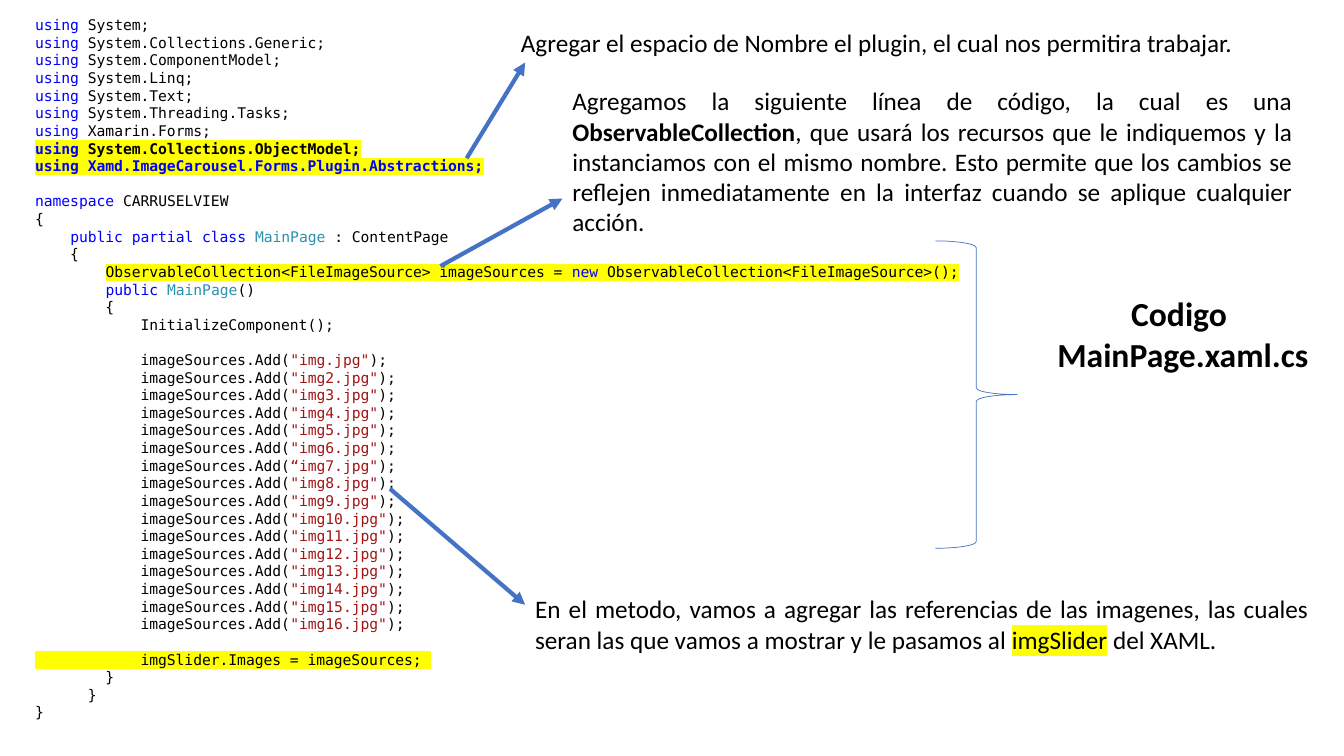
from lxml.etree import SubElement
from pptx import Presentation
from pptx.dml.color import RGBColor
from pptx.enum.shapes import MSO_CONNECTOR, MSO_SHAPE
from pptx.enum.text import MSO_AUTO_SIZE, PP_ALIGN
from pptx.oxml.ns import qn
from pptx.util import Inches, Pt

# Grid of 40 columns by 22.5 rows
CELL = Inches(13.333) / 40
BLACK, BLUE, TEAL, RED = "000000", "0000FF", "2B91AF", "A31515"
ACCENT, YELLOW = "4472C4", "FFFF00"
BODY_FONT, CODE_FONT = "Calibri", "DejaVu Sans Mono"


def color(value):
    return RGBColor.from_string(value)


def cells(*lengths):
    return [round(length * CELL) for length in lengths]


def span(text, ink=BLACK, bold=False, mark=False):
    return text, ink, bold, mark


def add_paragraph(paragraph, spans, font, size, align):
    paragraph.alignment = align
    paragraph.font.name = font
    paragraph.font.size = Pt(size)
    for text, ink, bold, mark in spans:
        run = paragraph.add_run()
        run.text = text
        run.font.bold = bold
        run.font.color.rgb = color(ink)
        if mark:
            highlight = SubElement(run.font._element, qn("a:highlight"))
            SubElement(highlight, qn("a:srgbClr")).set("val", YELLOW)


def add_text(slide, box, lines, font=BODY_FONT, size=18, align=PP_ALIGN.JUSTIFY):
    frame = slide.shapes.add_textbox(*cells(*box)).text_frame
    frame.word_wrap = True
    frame.auto_size = MSO_AUTO_SIZE.SHAPE_TO_FIT_TEXT
    for index, spans in enumerate(lines):
        paragraph = frame.add_paragraph() if index else frame.paragraphs[0]
        add_paragraph(paragraph, spans, font, size, align)


def add_arrow(slide, start, end):
    arrow = slide.shapes.add_connector(MSO_CONNECTOR.STRAIGHT, *cells(*start, *end))
    arrow.line.color.rgb = color(ACCENT)
    arrow.line.width = Pt(3)
    SubElement(arrow.line._get_or_add_ln(), qn("a:tailEnd")).set("type", "triangle")
    SubElement(arrow._element.spPr, qn("a:effectLst"))


def code_lines():
    namespaces = ["System", "System.Collections.Generic", "System.ComponentModel",
                  "System.Linq", "System.Text", "System.Threading.Tasks", "Xamarin.Forms"]
    lines = [[span("using", BLUE), span(f" {name};")] for name in namespaces]
    lines += [
        [span("using", BLUE, True, True),
         span(" System.Collections.ObjectModel;", BLACK, True, True)],
        [span("using Xamd.ImageCarousel.Forms.Plugin.Abstractions;", BLUE, True, True)],
        [],
        [span("namespace", BLUE), span(" CARRUSELVIEW")],
        [span("{")],
        [span("    "), span("public partial class ", BLUE), span("MainPage", TEAL),
         span(" : ContentPage")],
        [span("    {")],
        [span("        "),
         span("ObservableCollection<FileImageSource> imageSources = ", mark=True),
         span("new", BLUE, mark=True),
         span(" ObservableCollection<FileImageSource>();", mark=True)],
        [span("        "), span("public ", BLUE), span("MainPage", TEAL), span("()")],
        [span("        {")],
        [span("            InitializeComponent();")],
        [],
    ]
    for number in range(1, 17):
        quote = "“" if number == 7 else '"'
        suffix = number if number > 1 else ""
        lines.append([span("            imageSources.Add("),
                      span(f'{quote}img{suffix}.jpg"', RED), span(");")])
    lines += [
        [],
        [span("            imgSlider.Images = imageSources; ", mark=True)],
        [span("        }")],
        [span("      }")],
        [span("}")],
    ]
    return lines


def add_code(slide, box):
    add_text(slide, box, code_lines(), CODE_FONT, 10.5, PP_ALIGN.LEFT)


def add_file_title(slide, box):
    """Brace at the left of the box, file name at its right."""
    left, top, width, height = box
    brace = slide.shapes.add_shape(MSO_SHAPE.RIGHT_BRACE, *cells(left, top, 2.43, height))
    brace.shadow.inherit = False
    brace.fill.background()
    brace.line.color.rgb = color(ACCENT)
    brace.line.width = Pt(0.5)
    name_box = left + 2.88, top + 1.41, width - 2.88, 2.73
    lines = [[span("Codigo ", bold=True)], [span("MainPage.xaml.cs", bold=True)]]
    add_text(slide, name_box, lines, size=24, align=PP_ALIGN.CENTER)


def add_note(slide, box, spans, code_point, tip):
    """Explanation with an arrow from the code to a tip offset from the box corner."""
    add_text(slide, box, [spans])
    add_arrow(slide, code_point, (box[0] + tip[0], box[1] + tip[1]))


def build_slide(presentation):
    slide = presentation.slides.add_slide(presentation.slide_layouts[6])
    add_code(slide, (0.75, 0.33, 28.23, 21.51))
    add_file_title(slide, (27.84, 7.17, 11.85, 9.15))

    # Notes beside the code
    add_note(slide, (15.21, 0.66, 24.06, 1.2), [
        span("Agregar el espacio de Nombre el plugin, el cual nos permitira trabajar. "),
    ], (13.89, 4.71), (0.42, 1.2))
    add_note(slide, (16.74, 2.4, 22.02, 4.86), [
        span("Agregamos la siguiente línea de código, la cual es una "),
        span("ObservableCollection", bold=True),
        span(", que usará los recursos que le indiquemos y la instanciamos con el mismo "
             "nombre. Esto permite que los cambios se reflejen inmediatamente en la "
             "interfaz cuando se aplique cualquier acción."),
    ], (13.11, 7.92), (0, 3.51))
    add_note(slide, (15.63, 17.52, 23.61, 2.13), [
        span("En el metodo, vamos a agregar las referencias de las imagenes, las cuales "
             "seran las que vamos a mostrar y le pasamos al "),
        span("imgSlider", mark=True),
        span(" del XAML."),
    ], (11.61, 14.55), (0, 0.48))


def main():
    presentation = Presentation()
    presentation.slide_width, presentation.slide_height = cells(40, 22.5)
    build_slide(presentation)
    presentation.save("out.pptx")


if __name__ == "__main__":
    main()
